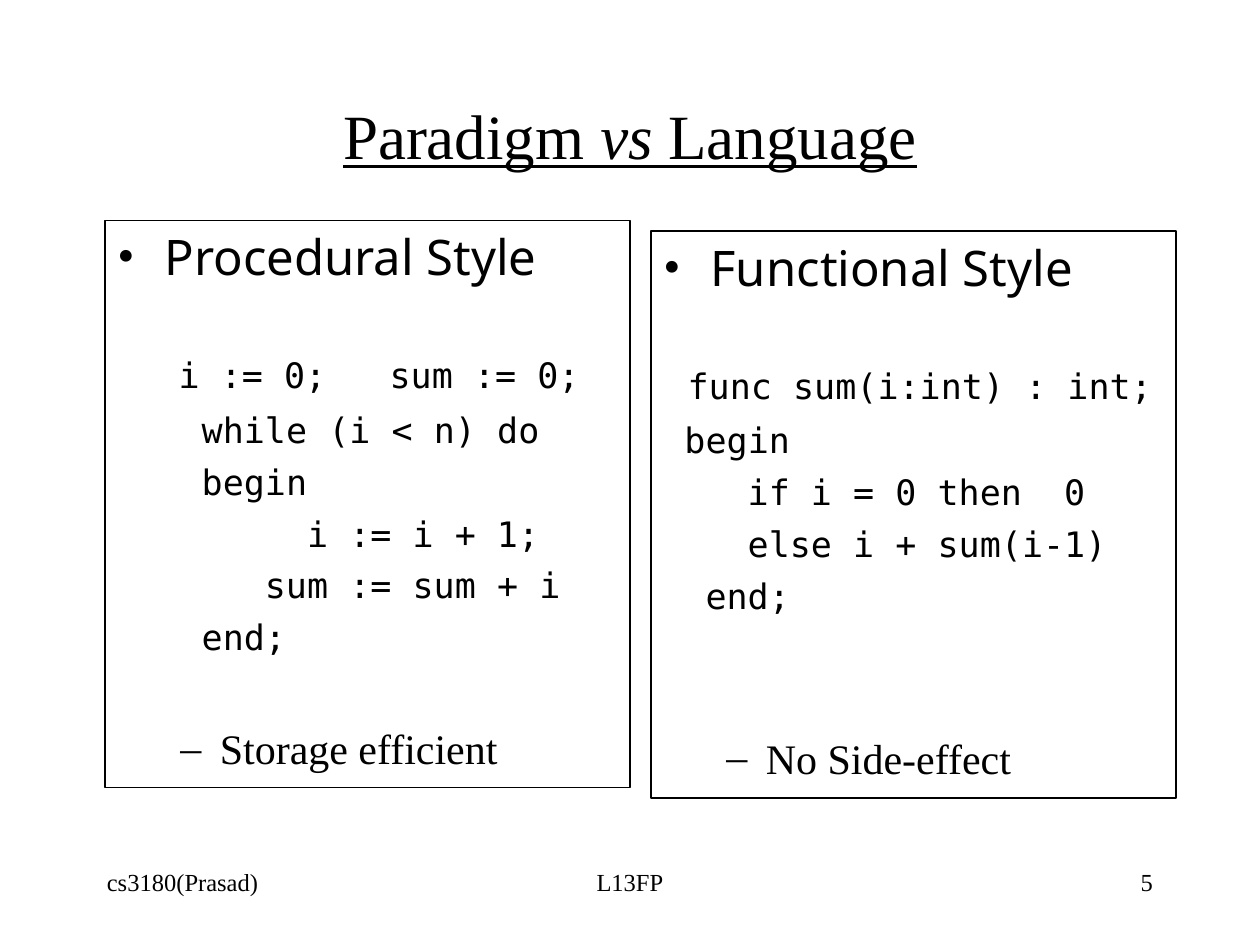
from dataclasses import dataclass

from lxml import etree
from pptx import Presentation
from pptx.dml.color import RGBColor
from pptx.enum.shapes import MSO_SHAPE
from pptx.enum.text import MSO_ANCHOR, MSO_AUTO_SIZE, PP_ALIGN
from pptx.oxml.ns import qn
from pptx.util import Pt

LEFT, MID, RIGHT = PP_ALIGN.LEFT, PP_ALIGN.CENTER, PP_ALIGN.RIGHT
TOP, BOTTOM = MSO_ANCHOR.TOP, MSO_ANCHOR.BOTTOM
RECT, FIXED = MSO_SHAPE.RECTANGLE, MSO_AUTO_SIZE.NONE


@dataclass
class Theme:
    ink: RGBColor = RGBColor(0, 0, 0)
    serif: str = "Times New Roman"
    sans: str = "Noto Sans"
    mono: str = "DejaVu Sans Mono"
    title: int = 36
    head: int = 28
    point: int = 24
    code: int = 20
    foot: int = 14
    char: float = 12.04  # width of one code letter


class Deck:
    def __init__(self, theme):
        self.theme = theme
        self.prs = Presentation()
        self.prs.slide_width, self.prs.slide_height = Pt(720), Pt(540)
        self.slide = self.prs.slides.add_slide(self.prs.slide_layouts[5])

    def style(self, para, size, face, align=LEFT):
        para.alignment = align
        font = para.font
        font.size, font.name = Pt(size), face
        font.color.rgb = self.theme.ink

    def frame(self, shape, anchor=TOP):
        text = shape.text_frame
        text.word_wrap, text.auto_size = True, FIXED
        text.vertical_anchor = anchor
        return text

    def indent(self, para, left, hang=0, mark=None):
        props = para._p.get_or_add_pPr()
        props.set("marL", str(Pt(left)))
        props.set("indent", str(Pt(-hang)))
        if mark:
            etree.SubElement(props, qn("a:buFont")).set("typeface", self.theme.serif)
            etree.SubElement(props, qn("a:buChar")).set("char", mark)

    def title(self, parts):
        shape = self.slide.shapes.title
        shape.left, shape.top = Pt(54), Pt(48)
        shape.width, shape.height = Pt(612), Pt(54)
        para = self.frame(shape, BOTTOM).paragraphs[0]
        self.style(para, self.theme.title, self.theme.serif, MID)
        para.font.underline = True
        for words, slant in parts:
            run = para.add_run()
            run.text, run.font.italic = words, slant

    def footer(self, words, left, width, align):
        box = self.slide.shapes.add_textbox(Pt(left), Pt(492), Pt(width), Pt(36))
        para = self.frame(box).paragraphs[0]
        para.text = words
        self.style(para, self.theme.foot, self.theme.serif, align)

    def panel(self, left, top, head, code, gap, point):
        theme = self.theme
        box = self.slide.shapes.add_shape(RECT, Pt(left), Pt(top), Pt(300), Pt(324))
        box.shadow.inherit = False
        box.fill.background()
        box.line.color.rgb, box.line.width = theme.ink, Pt(0.75)
        text = self.frame(box)

        # Heading
        para = text.paragraphs[0]
        para.text = head
        self.indent(para, 27, 27, "•")
        self.style(para, theme.head, theme.sans)

        # Code, indented by whole letters
        for row, (depth, line) in enumerate(code):
            para = text.add_paragraph()
            para.text = line
            para.space_before = Pt({0: 39, 1: 7}.get(row, 5.7))
            self.indent(para, depth * theme.char)
            self.style(para, theme.code, theme.mono)

        # Closing point
        para = text.add_paragraph()
        para.text = point
        para.space_before = Pt(gap)
        self.indent(para, 58.5, 22.5, "–")
        self.style(para, theme.point, theme.serif)


def main():
    deck = Deck(Theme())
    deck.title([("Paradigm ", False), ("vs", True), (" Language", False)])

    # Two styles side by side
    deck.panel(60, 126, "Procedural Style", [
        (2.9, "i := 0;   sum := 0;"),
        (4, "while (i < n) do"),
        (4, "begin"),
        (9, "i := i + 1;"),
        (7, "sum := sum + i"),
        (4, "end;"),
    ], 37, "Storage efficient")
    deck.panel(372, 132, "Functional Style", [
        (1.15, "func sum(i:int) : int;"),
        (1, "begin"),
        (4, "if i = 0 then  0"),
        (4, "else i + sum(i-1)"),
        (2, "end;"),
    ], 66, "No Side-effect")

    # Footer
    deck.footer("cs3180(Prasad)", 54, 150, LEFT)
    deck.footer("L13FP", 246, 228, MID)
    deck.footer("5", 516, 150, RIGHT)

    deck.prs.save("out.pptx")


if __name__ == "__main__":
    main()
